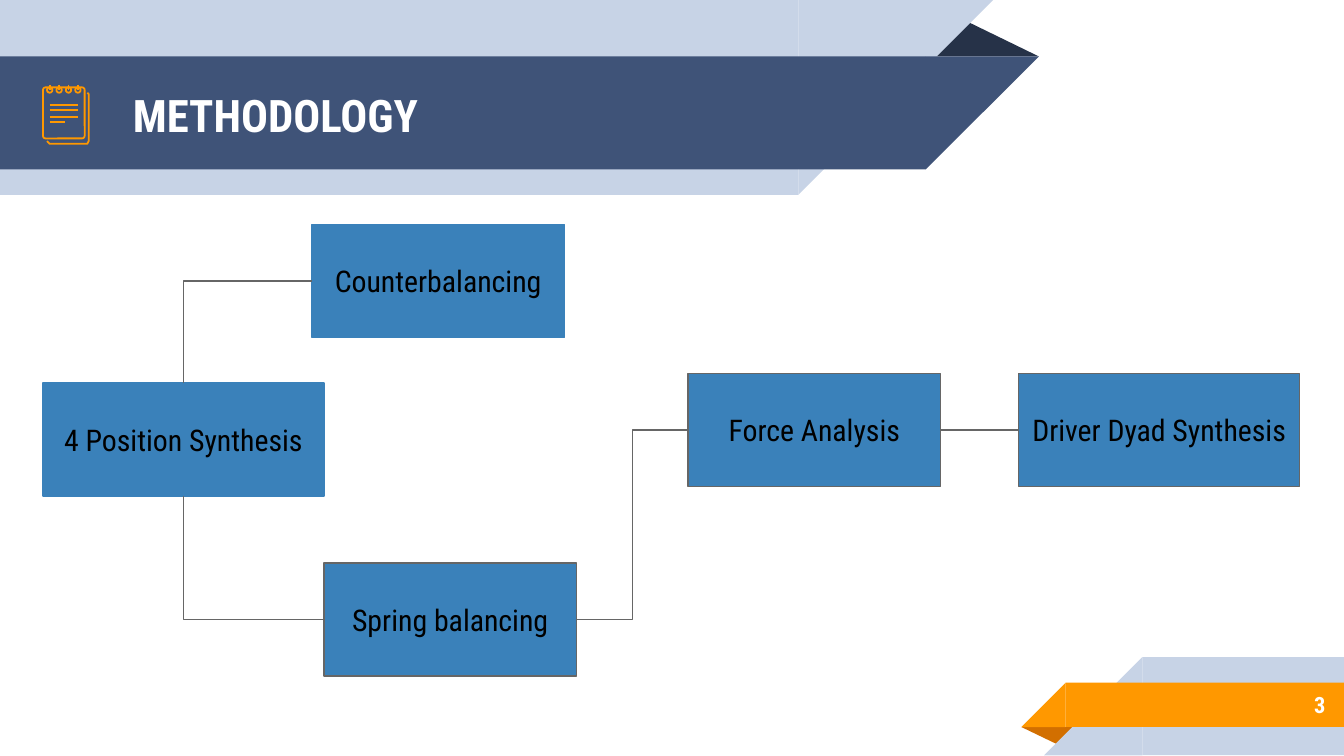
from dataclasses import dataclass

from lxml.etree import SubElement
from pptx import Presentation
from pptx.dml.color import RGBColor
from pptx.enum.shapes import MSO_CONNECTOR, MSO_SHAPE
from pptx.enum.text import MSO_ANCHOR, PP_ALIGN
from pptx.oxml.ns import qn
from pptx.util import Pt

EMU_PER_PX = 9144  # 100 px to the inch
TOP, LEFT, BOTTOM, RIGHT = range(4)  # connection sites of a rectangle


@dataclass(frozen=True)
class Theme:
    font: str = "Roboto Condensed"
    title_size: int = 24
    node_size: int = 16
    number_size: int = 12
    pale: str = "C7D3E6"
    navy: str = "3F5378"
    navy_fold: str = "263248"
    orange: str = "FF9800"
    orange_fold: str = "D26F00"
    node: str = "3A81BA"
    connector: str = "666666"
    white: str = "FFFFFF"
    black: str = "000000"
    thin: float = 0.75
    icon_line: float = 0.96


THEME = Theme()


@dataclass(frozen=True)
class Box:
    left: int
    top: int
    width: int
    height: int

    def inner(self, left, top, width, height):
        return Box(self.left + left, self.top + top, width, height)

    def emu(self):
        return [px(v) for v in (self.left, self.top, self.width, self.height)]


def px(value):
    return round(value * EMU_PER_PX)


def style_line(item, color, width):
    item.line.color.rgb = RGBColor.from_string(color)
    item.line.width = Pt(width)


def add_shape(slide, kind, box, fill=None, line=None, width=THEME.thin):
    shape = slide.shapes.add_shape(kind, *box.emu())
    shape.shadow.inherit = False
    if fill:
        shape.fill.solid()
        shape.fill.fore_color.rgb = RGBColor.from_string(fill)
    else:
        shape.fill.background()
    if line:
        style_line(shape, line, width)
    else:
        shape.line.fill.background()
    return shape


def add_connector(slide, kind, points, color, width):
    connector = slide.shapes.add_connector(kind, *[px(v) for v in points])
    style_line(connector, color, width)
    SubElement(connector.element.spPr, qn("a:effectLst"))
    return connector


def set_text(shape, text, size, color, align, bold=False):
    frame = shape.text_frame
    frame.text = text
    frame.word_wrap = True
    frame.vertical_anchor = MSO_ANCHOR.MIDDLE
    frame.margin_left = frame.margin_right = px(10)
    frame.margin_top = frame.margin_bottom = px(10)
    paragraph = frame.paragraphs[0]
    paragraph.alignment = align
    font = paragraph.runs[0].font
    font.name, font.size, font.bold = THEME.font, Pt(size), bold
    font.color.rgb = RGBColor.from_string(color)


def add_label(slide, box, text, size, align):
    set_text(slide.shapes.add_textbox(*box.emu()), text, size, THEME.white, align, True)


def add_fold(slide, box, color, rotation=0):
    fold = add_shape(slide, MSO_SHAPE.ISOSCELES_TRIANGLE, box, color)
    fold.adjustments[0] = 0.324
    fold.rotation = rotation


def add_band(slide, box, color, slant_right):
    """A bar with one end cut at 45 degrees."""
    slant = box.height
    body = box.width - slant
    body_left, slant_left, flip = (0, body, "flipV") if slant_right else (slant, 0, "flipH")
    add_shape(slide, MSO_SHAPE.RECTANGLE, box.inner(body_left, 0, body, slant), color)
    end = add_shape(slide, MSO_SHAPE.RIGHT_TRIANGLE, box.inner(slant_left, 0, slant, slant), color)
    end.element.spPr.xfrm.set(flip, "1")


def add_notepad(slide, box):
    def stroke(x1, y1, x2, y2):
        points = (box.left + x1, box.top + y1, box.left + x2, box.top + y2)
        add_connector(slide, MSO_CONNECTOR.STRAIGHT, points, THEME.orange, THEME.icon_line)

    # Back page, showing below and to the right
    corners = [(3, 42), (5, 44), (33, 44), (34, 42), (34, 7), (33, 6)]
    page_points = [(box.left + x, box.top + y) for x, y in corners]
    builder = slide.shapes.build_freeform(*page_points[0], scale=EMU_PER_PX)
    builder.add_line_segments(page_points[1:], close=False)
    back_page = builder.convert_to_shape()
    back_page.shadow.inherit = False
    back_page.fill.background()
    style_line(back_page, THEME.orange, THEME.icon_line)

    # Front page
    page = add_shape(slide, MSO_SHAPE.ROUNDED_RECTANGLE, box.inner(0, 2, 31, 38),
                     line=THEME.orange, width=THEME.icon_line)
    page.adjustments[0] = 0.06

    # Rings and their pins
    for x in range(3, 25, 7):
        add_shape(slide, MSO_SHAPE.OVAL, box.inner(x, 2, 4, 4),
                  line=THEME.orange, width=THEME.icon_line)
        stroke(x + 2, 0, x + 2, 4)

    # Written lines, the last one short
    for y, length in ((15, 21), (19, 21), (24, 21), (28, 11)):
        stroke(5, y, 5 + length, y)


def add_header(slide, box, title):
    add_fold(slide, box.inner(688, 14, 85, 28), THEME.navy_fold)
    add_band(slide, box.inner(0, 0, 739, 145), THEME.pale, True)
    add_band(slide, box.inner(0, 42, 773, 84), THEME.navy, True)
    add_label(slide, box.inner(89, 43, 575, 84), title, THEME.title_size, PP_ALIGN.LEFT)
    add_notepad(slide, box.inner(32, 63, 34, 44))


def add_footer(slide, box, number):
    add_fold(slide, box.inner(0, 52, 43, 14), THEME.orange_fold, 180)
    add_band(slide, box.inner(17, 0, 223, 73), THEME.pale, False)
    add_band(slide, box.inner(0, 19, 240, 33), THEME.orange, False)
    add_label(slide, box.inner(73, 18, 163, 35), number, THEME.number_size, PP_ALIGN.RIGHT)


def link(slide, kind, start, start_site, end, end_site):
    connector = add_connector(slide, kind, (0, 0, 0, 0), THEME.connector, THEME.thin)
    connector.begin_connect(start, start_site)
    connector.end_connect(end, end_site)
    return connector


def link_corner(slide, start, start_site, end):
    """One bend: leave the start vertically, enter the end from its left."""
    connector = link(slide, MSO_CONNECTOR.ELBOW, start, start_site, end, LEFT)
    center_x = (connector.begin_x + connector.end_x) // 2
    center_y = (connector.begin_y + connector.end_y) // 2
    # The bend is drawn turned by 270 degrees, so width and height swap
    width, height = connector.height, connector.width
    connector.left, connector.top = center_x - width // 2, center_y - height // 2
    connector.width, connector.height = width, height
    properties = connector.element.spPr
    properties.xfrm.set("rot", str(270 * 60000))
    properties.xfrm.set("flipH", "1" if start_site == BOTTOM else "0")
    properties.xfrm.set("flipV", "0")
    properties.find(qn("a:prstGeom")).set("prst", "bentConnector2")


def add_flow(slide, box):
    wide, narrow, height = 209, 188, 84

    def node(text, left, top, width, line=THEME.connector):
        shape = add_shape(slide, MSO_SHAPE.RECTANGLE, box.inner(left, top, width, height),
                          THEME.node, line)
        set_text(shape, text, THEME.node_size, THEME.black, PP_ALIGN.CENTER)
        return shape

    # Steps
    position = node("4 Position Synthesis", 0, 118, wide, THEME.node)
    counter = node("Counterbalancing", 200, 0, narrow, THEME.node)
    driver = node("Driver Dyad Synthesis", 726, 111, wide)
    force = node("Force Analysis", 480, 111, narrow)
    spring = node("Spring balancing", 209, 252, narrow)

    # Links
    link_corner(slide, position, BOTTOM, spring)
    link_corner(slide, position, TOP, counter)
    link(slide, MSO_CONNECTOR.ELBOW, spring, RIGHT, force, LEFT)
    link(slide, MSO_CONNECTOR.STRAIGHT, force, RIGHT, driver, LEFT)


def main():
    presentation = Presentation()
    presentation.slide_width = px(1000)
    presentation.slide_height = px(1000) * 9 // 16
    slide = presentation.slides.add_slide(presentation.slide_layouts[6])
    add_header(slide, Box(0, 0, 773, 145), "METHODOLOGY")
    add_footer(slide, Box(760, 489, 240, 73), "3")
    add_flow(slide, Box(32, 167, 935, 336))
    presentation.save("out.pptx")


if __name__ == "__main__":
    main()
